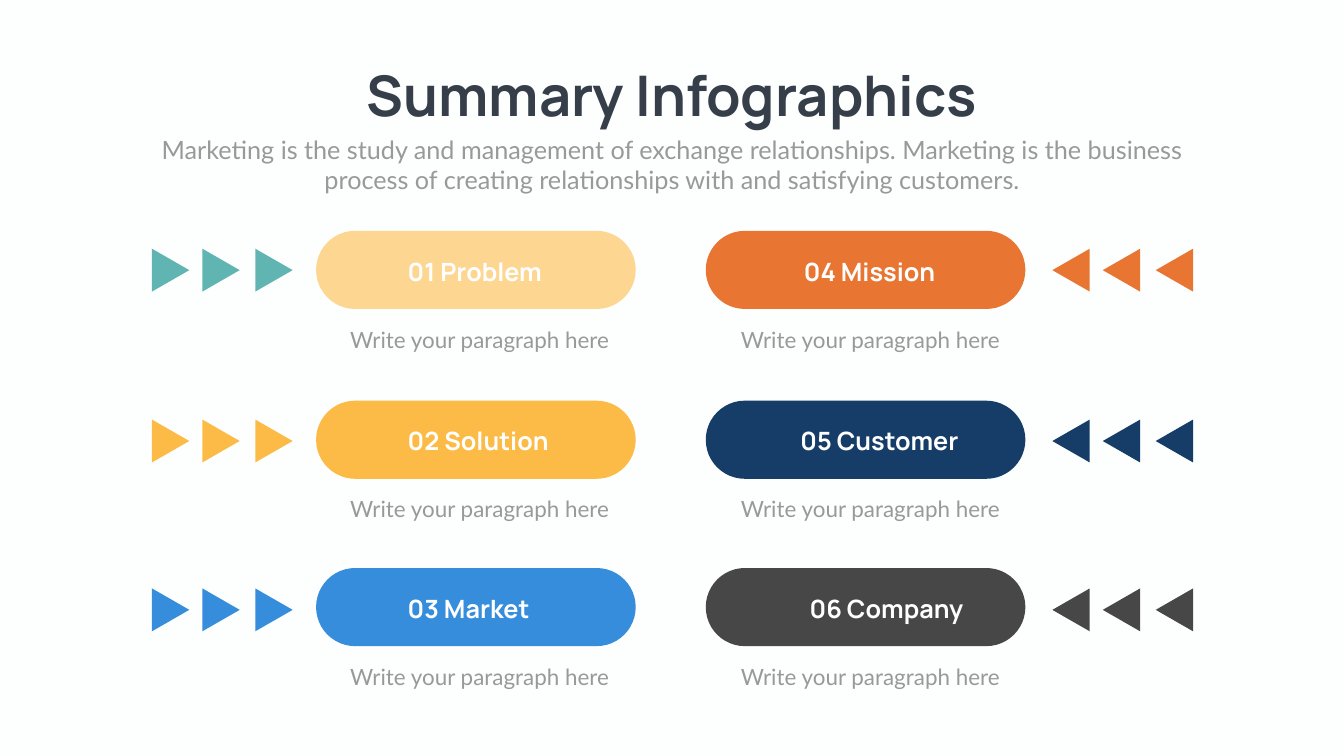
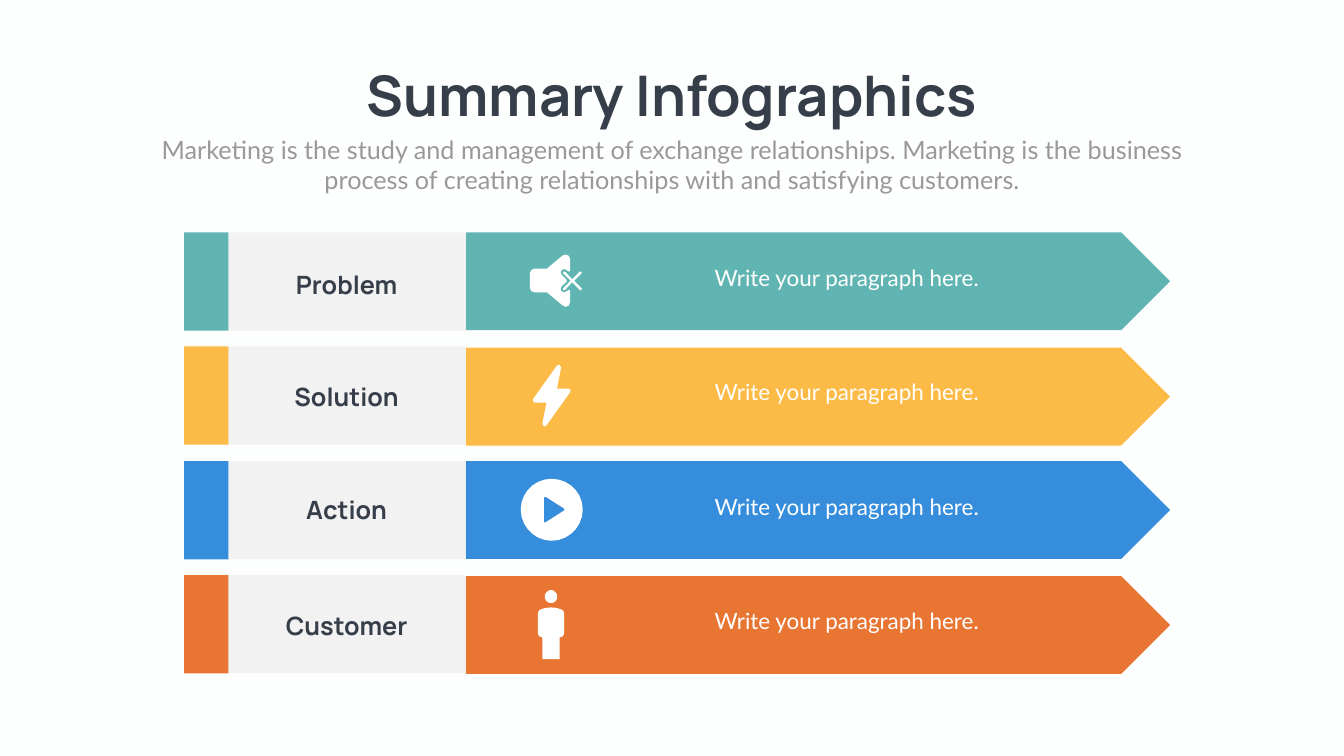
from dataclasses import dataclass
from math import hypot
from pptx import Presentation
from pptx.dml.color import RGBColor
from pptx.enum.shapes import MSO_SHAPE as Shape
from pptx.enum.text import MSO_AUTO_SIZE as AutoSize, PP_ALIGN as Align
from pptx.util import Inches, Pt


@dataclass(frozen=True)
class Theme:
    paper: str = "FDFFFE"
    ink: str = "353E49"
    grey: str = "989998"
    panel: str = "F2F2F2"
    white: str = "FFFFFF"
    teal: str = "60B5B2"
    cream: str = "FDD691"
    amber: str = "FCBB47"
    blue: str = "358DDC"
    orange: str = "E87532"
    navy: str = "153D68"
    charcoal: str = "474747"
    heading_font: str = "Manrope"
    body_font: str = "Lato"
    title_size: int = 80
    label_size: int = 36
    note_size: int = 32


THEME = Theme()
PROMPT = "Write your paragraph here"
INTRO = ("Marketing is the study and management of exchange relationships. "
         "Marketing is the business process of creating relationships with "
         "and satisfying customers.")

# Icon outlines in inches: two numbers are a corner, six are a Bezier curve.
SPEAKER = [[
    (11.29, 5.75), (11.27, 5.76), (11.24, 5.78),
    (11.21, 5.81, 11.17, 5.81, 11.14, 5.78), (11.12, 5.73), (11.14, 5.68),
    (11.24, 5.59), (11.24, 5.55), (11.14, 5.45), (11.12, 5.4), (11.14, 5.36),
    (11.17, 5.33, 11.21, 5.33, 11.24, 5.36), (11.27, 5.38), (11.29, 5.39),
    (11.31, 5.37), (11.31, 5.14), (11.31, 5.09, 11.27, 5.05, 11.22, 5.05),
    (11.16, 5.07), (10.85, 5.33), (10.6, 5.33),
    (10.55, 5.33, 10.51, 5.38, 10.51, 5.43), (10.51, 5.71),
    (10.51, 5.76, 10.55, 5.8, 10.6, 5.8), (10.85, 5.8), (11.16, 6.06),
    (11.22, 6.09), (11.27, 6.09, 11.31, 6.05, 11.31, 5.99), (11.31, 5.77),
]]
CROSS = [[
    (11.39, 5.57), (11.54, 5.42), (11.54, 5.39), (11.5, 5.39), (11.35, 5.54),
    (11.21, 5.39), (11.17, 5.39), (11.17, 5.42), (11.32, 5.57), (11.17, 5.72),
    (11.17, 5.75), (11.19, 5.76), (11.21, 5.75), (11.35, 5.6), (11.5, 5.75),
    (11.52, 5.76), (11.54, 5.75), (11.54, 5.72),
]]
BOLT = [[
    (10.84, 8.44), (11.31, 7.78), (11.32, 7.73), (11.27, 7.71), (11.05, 7.71),
    (11.13, 7.29), (11.1, 7.24), (11.05, 7.25), (10.58, 7.91), (10.57, 7.96),
    (10.61, 7.99), (10.84, 7.99), (10.76, 8.4), (10.78, 8.45), (10.8, 8.46),
]]
PLAY = [
    [(10.94, 9.5), (10.61, 9.5, 10.33, 9.77, 10.33, 10.11),
     (10.33, 10.45, 10.61, 10.73, 10.94, 10.73),
     (11.28, 10.73, 11.56, 10.45, 11.56, 10.11),
     (11.56, 9.77, 11.28, 9.5, 10.94, 9.5)],
    [(11.19, 10.13), (10.83, 10.36), (10.8, 10.37), (10.79, 10.34),
     (10.79, 9.88), (10.8, 9.86), (10.83, 9.86), (11.19, 10.09), (11.2, 10.11)],
]
HEAD = [[
    (11.02, 11.75), (11.07, 11.8, 11.07, 11.88, 11.02, 11.93),
    (10.97, 11.98, 10.89, 11.98, 10.84, 11.93),
    (10.79, 11.88, 10.79, 11.8, 10.84, 11.75),
    (10.89, 11.69, 10.97, 11.69, 11.02, 11.75),
]]
BODY = [[
    (11.13, 12.09), (11, 12.04, 10.86, 12.04, 10.73, 12.09),
    (10.7, 12.1, 10.67, 12.13, 10.67, 12.17), (10.67, 12.57),
    (10.67, 12.61, 10.71, 12.65, 10.76, 12.65), (10.76, 13.08), (11.1, 13.08),
    (11.1, 12.65), (11.15, 12.65, 11.19, 12.61, 11.19, 12.57), (11.19, 12.17),
    (11.19, 12.13, 11.17, 12.1, 11.13, 12.09),
]]


def paint(shape, color):
    shape.shadow.inherit = False
    shape.fill.solid()
    shape.fill.fore_color.rgb = RGBColor.from_string(color)
    shape.line.fill.background()


def add_block(page, kind, left, top, width, height, color, rotation=0):
    shape = page.shapes.add_shape(
        kind, Inches(left), Inches(top), Inches(width), Inches(height))
    paint(shape, color)
    shape.rotation = rotation
    return shape


def add_text(page, text, left, top, width, height, size, font, color,
             align=Align.CENTER, wrap=True):
    box = page.shapes.add_textbox(
        Inches(left), Inches(top), Inches(width), Inches(height))
    frame = box.text_frame
    frame.word_wrap = wrap
    frame.auto_size = AutoSize.SHAPE_TO_FIT_TEXT
    para = frame.paragraphs[0]
    para.alignment = align
    span = para.add_run()
    span.text = text
    span.font.size = Pt(size)
    span.font.name = font
    span.font.bold = font == THEME.heading_font
    span.font.color.rgb = RGBColor.from_string(color)


def add_label(page, text, left, top, width, color, align=Align.CENTER):
    add_text(page, text, left, top, width, 0.71, THEME.label_size,
             THEME.heading_font, color, align)


def add_note(page, text, left, top, width, height, color):
    add_text(page, text, left, top, width, height, THEME.note_size,
             THEME.body_font, color)


def flatten(contour):
    """Turn corners and curves into points in EMU, with more on longer curves."""
    points = [contour[0]]
    for part in contour[1:]:
        if len(part) == 2:
            points.append(part)
            continue
        x0, y0 = points[-1]
        x1, y1, x2, y2, x3, y3 = part
        steps = 2 + int(6 * hypot(x3 - x0, y3 - y0))
        for step in range(1, steps + 1):
            t = step / steps
            a, b, c, d = (1 - t) ** 3, 3 * t * (1 - t) ** 2, 3 * t * t * (1 - t), t ** 3
            points.append((a * x0 + b * x1 + c * x2 + d * x3,
                           a * y0 + b * y1 + c * y2 + d * y3))
    return [(Inches(x), Inches(y)) for x, y in points]


def add_icon(page, contours):
    first, *others = [flatten(contour) for contour in contours]
    builder = page.shapes.build_freeform(*first[0], scale=1.0)
    builder.add_line_segments(first[1:], close=True)
    for points in others:
        builder.move_to(*points[0])
        builder.add_line_segments(points[1:], close=True)
    paint(builder.convert_to_shape(), THEME.white)


def add_page(deck):
    """Add a blank page with the shared background."""
    page = deck.slides.add_slide(deck.slide_layouts[6])
    page.background.fill.solid()
    page.background.fill.fore_color.rgb = RGBColor.from_string(THEME.paper)
    return page


def add_heading(page):
    add_text(page, "Summary Infographics", 6.54, 1.15, 13.58, 1.45,
             THEME.title_size, THEME.heading_font, THEME.ink, wrap=False)
    add_text(page, INTRO, 2.92, 2.61, 20.82, 1.31,
             THEME.label_size, THEME.body_font, THEME.grey)


def add_pill(page, left, top, color):
    pill = add_block(page, Shape.ROUNDED_RECTANGLE, left, top, 6.34, 1.55, color)
    pill.adjustments[0] = 0.5


def add_triangles(page, lefts, top, color, rotation):
    for left in lefts:
        add_block(page, Shape.ISOSCELES_TRIANGLE, left, top, 0.85, 0.74, color, rotation)


def build_pill_page(deck):
    page = add_page(deck)
    add_heading(page)
    # Tops of the pill, its label, its note and its triangles
    row_tops = ((4.58, 5.03, 6.43, 4.99), (7.95, 8.39, 9.78, 8.38),
                (11.27, 11.72, 13.1, 11.73))
    left_items = (("01 Problem", THEME.cream, THEME.teal),
                  ("02 Solution", THEME.amber, THEME.amber),
                  ("03 Market", THEME.blue, THEME.blue))
    right_items = (("04 Mission", THEME.orange, 3.24),
                   ("05 Customer", THEME.navy, 3.63),
                   ("06 Company", THEME.charcoal, 3.91))
    for tops, left_item, right_item in zip(row_tops, left_items, right_items):
        pill_top, label_top, note_top, triangle_top = tops
        text, color, triangle_color = left_item
        add_pill(page, 6.27, pill_top, color)
        add_label(page, text, 7.99, label_top, 3.24, THEME.white, Align.LEFT)
        add_note(page, PROMPT, 6.71, note_top, 5.61, 0.64, THEME.grey)
        add_triangles(page, (2.96, 3.96, 5.01), triangle_top, triangle_color, 90)

        text, color, width = right_item
        add_pill(page, 14, pill_top, color)
        add_label(page, text, 15.63, label_top, width, THEME.white)
        add_note(page, PROMPT, 14.46, note_top, 5.61, 0.64, THEME.grey)
        add_triangles(page, (20.82, 21.82, 22.87), triangle_top, color, 270)


def build_arrow_page(deck):
    page = add_page(deck)
    # Label, colour, icon outlines, then tops of the arrow, panel and label
    rows = (("Problem", THEME.teal, (SPEAKER, CROSS), 4.61, 4.61, 5.29),
            ("Solution", THEME.amber, (BOLT,), 6.9, 6.87, 7.52),
            ("Action", THEME.blue, (PLAY,), 9.15, 9.15, 9.76),
            ("Customer", THEME.orange, (HEAD, BODY), 11.43, 11.41, 12.05))
    for index, (text, color, icons, arrow_top, panel_top, label_top) in enumerate(rows):
        add_block(page, Shape.PENTAGON, 9.24, arrow_top, 13.97, 1.94, color)
        add_block(page, Shape.RECTANGLE, 4.5, panel_top, 4.73, 1.95, THEME.panel)
        add_block(page, Shape.RECTANGLE, 3.65, panel_top, 0.88, 1.95, color)
        add_label(page, text, 5.43, label_top, 2.89, THEME.ink)
        for icon in icons:
            add_icon(page, icon)
        add_note(page, PROMPT + ". ", 13.95, 5.19 + 2.27 * index, 5.81, 0.66, THEME.white)
    add_heading(page)


def main():
    deck = Presentation()
    deck.slide_width = Inches(26.66)
    deck.slide_height = Inches(15)
    build_pill_page(deck)
    build_arrow_page(deck)
    deck.save("out.pptx")


if __name__ == "__main__":
    main()
